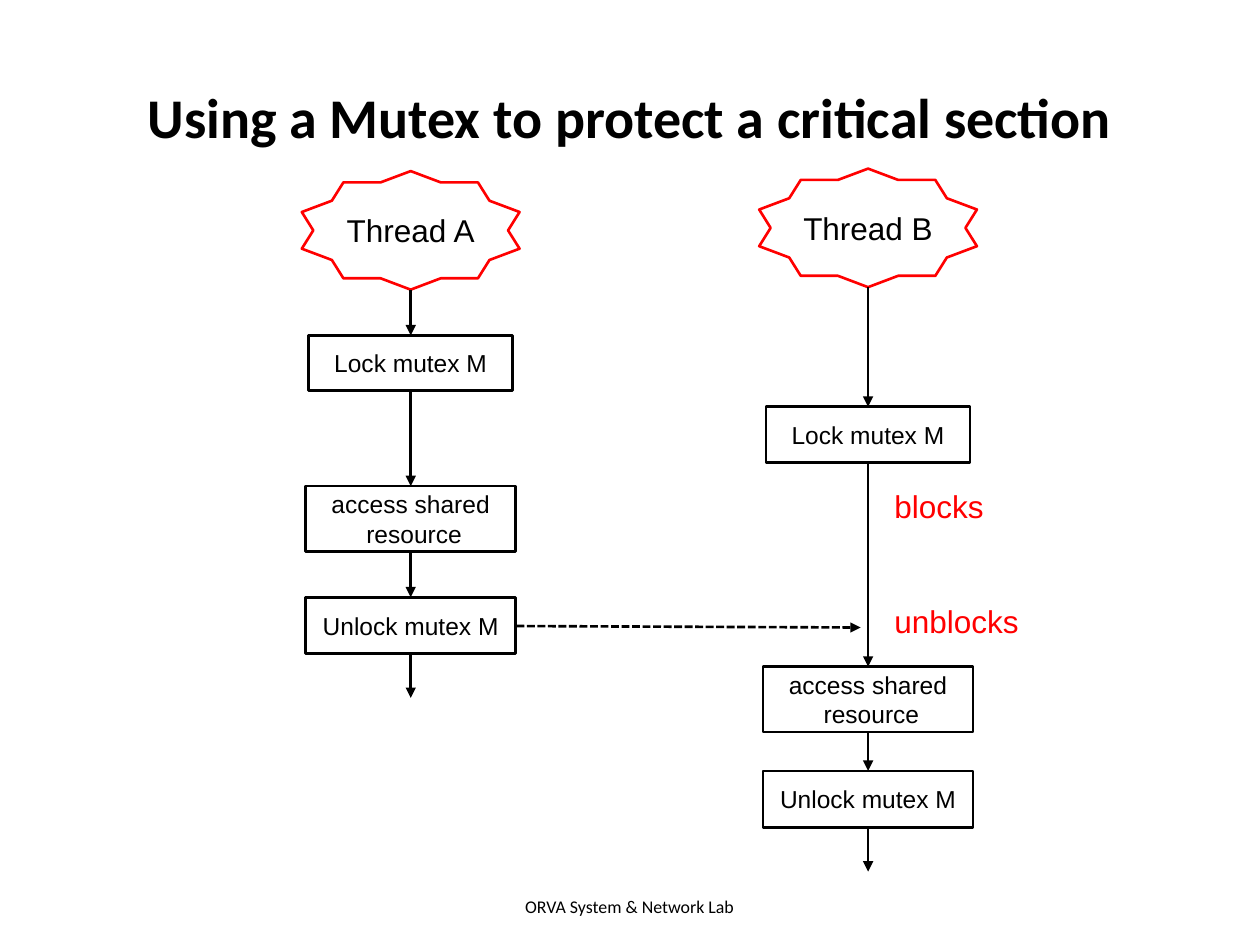
from dataclasses import dataclass

from lxml.etree import SubElement
from pptx import Presentation
from pptx.dml.color import RGBColor
from pptx.enum.dml import MSO_LINE
from pptx.enum.shapes import MSO_CONNECTOR, MSO_SHAPE
from pptx.enum.text import MSO_ANCHOR, MSO_AUTO_SIZE, PP_ALIGN
from pptx.oxml.ns import qn
from pptx.util import Cm, Pt


@dataclass(frozen=True)
class Theme:
    ink: RGBColor = RGBColor(0, 0, 0)
    accent: RGBColor = RGBColor(255, 0, 0)
    heading_font: str = "Calibri"
    body_font: str = "Arial"
    title_size: float = 32
    thread_size: float = 18
    step_size: float = 14
    footer_size: float = 10.2
    line_width: float = 1.5


theme = Theme()


def write(shape, text, size, color=theme.ink, font=theme.body_font,
          align=PP_ALIGN.CENTER, bold=False):
    shape.text_frame.text = text
    for paragraph in shape.text_frame.paragraphs:
        paragraph.alignment = align
        for run in paragraph.runs:
            run.font.name = font
            run.font.size = Pt(size)
            run.font.bold = bold
            run.font.color.rgb = color


def add_arrow(x1, y1, x2, y2, dash=None):
    """Draw a line between two points in cm, with a triangle at its end."""
    arrow = slide.shapes.add_connector(
        MSO_CONNECTOR.STRAIGHT, Cm(x1), Cm(y1), Cm(x2), Cm(y2))
    arrow.line.color.rgb = theme.ink
    arrow.line.width = Pt(theme.line_width)
    if dash:
        arrow.line.dash_style = dash
    SubElement(arrow.line._get_or_add_ln(), qn("a:tailEnd"), type="triangle")
    SubElement(arrow._element.spPr, qn("a:effectLst"))


presentation = Presentation()
presentation.slide_width = Cm(25.4)
presentation.slide_height = Cm(19.05)
slide = presentation.slides.add_slide(presentation.slide_layouts[5])

title = slide.shapes.title
title.left, title.top, title.width, title.height = Cm(1.27), Cm(0.76), Cm(22.86), Cm(3.18)
write(title, "Using a Mutex to protect a critical section",
      theme.title_size, font=theme.heading_font, bold=True)
title.text_frame.vertical_anchor = MSO_ANCHOR.MIDDLE
title.text_frame.auto_size = MSO_AUTO_SIZE.NONE

lab = slide.shapes.add_textbox(Cm(7.29), Cm(17.93), Cm(10.8), Cm(0.61))
lab.text_frame.word_wrap = True
write(lab, "ORVA System & Network Lab", theme.footer_size, font=theme.heading_font)

# Each stage: text, preset, width, height, text size, outline colour
RECT = MSO_SHAPE.RECTANGLE
steps = [
    ("Lock mutex M", RECT, 4.11, 1.12, theme.step_size, theme.ink),
    ("access shared\n resource", RECT, 4.24, 1.32, theme.step_size, theme.ink),
    ("Unlock mutex M", RECT, 4.24, 1.14, theme.step_size, theme.ink),
]
# Each thread: name, centre of its column, tops of its stages
threads = [
    ("Thread A", 8.28, [3.45, 6.76, 9.8, 12.04]),
    ("Thread B", 17.5, [3.4, 8.2, 13.44, 15.54]),
]
exit_length = 0.89

for thread_name, center, tops in threads:
    start = (thread_name, MSO_SHAPE.STAR_10_POINT, 4.39, 2.39,
             theme.thread_size, theme.accent)
    stages = [start, *steps]
    bottoms = [top + stage[3] for top, stage in zip(tops, stages)]
    arrow_ends = tops[1:] + [bottoms[-1] + exit_length]

    for (text, preset, width, height, size, outline), top in zip(stages, tops):
        stage = slide.shapes.add_shape(
            preset, Cm(center - width / 2), Cm(top), Cm(width), Cm(height))
        stage.shadow.inherit = False
        stage.fill.background()
        stage.line.color.rgb = outline
        stage.line.width = Pt(theme.line_width)
        stage.text_frame.word_wrap = False
        stage.text_frame.vertical_anchor = MSO_ANCHOR.MIDDLE
        write(stage, text, size)

    for bottom, arrow_end in zip(bottoms, arrow_ends):
        add_arrow(center, bottom, center, arrow_end)

# Unlocking in thread A releases thread B
add_arrow(10.41, 12.62, 17.35, 12.65, MSO_LINE.SQUARE_DOT)

for state, top, width in [("blocks", 9.7, 2.79), ("unblocks", 12.01, 3.1)]:
    label = slide.shapes.add_textbox(Cm(17.78), Cm(top), Cm(width), Cm(1.02))
    label.text_frame.word_wrap = True
    label.text_frame.auto_size = MSO_AUTO_SIZE.SHAPE_TO_FIT_TEXT
    write(label, state, theme.thread_size, theme.accent, align=PP_ALIGN.LEFT)

presentation.save("out.pptx")
